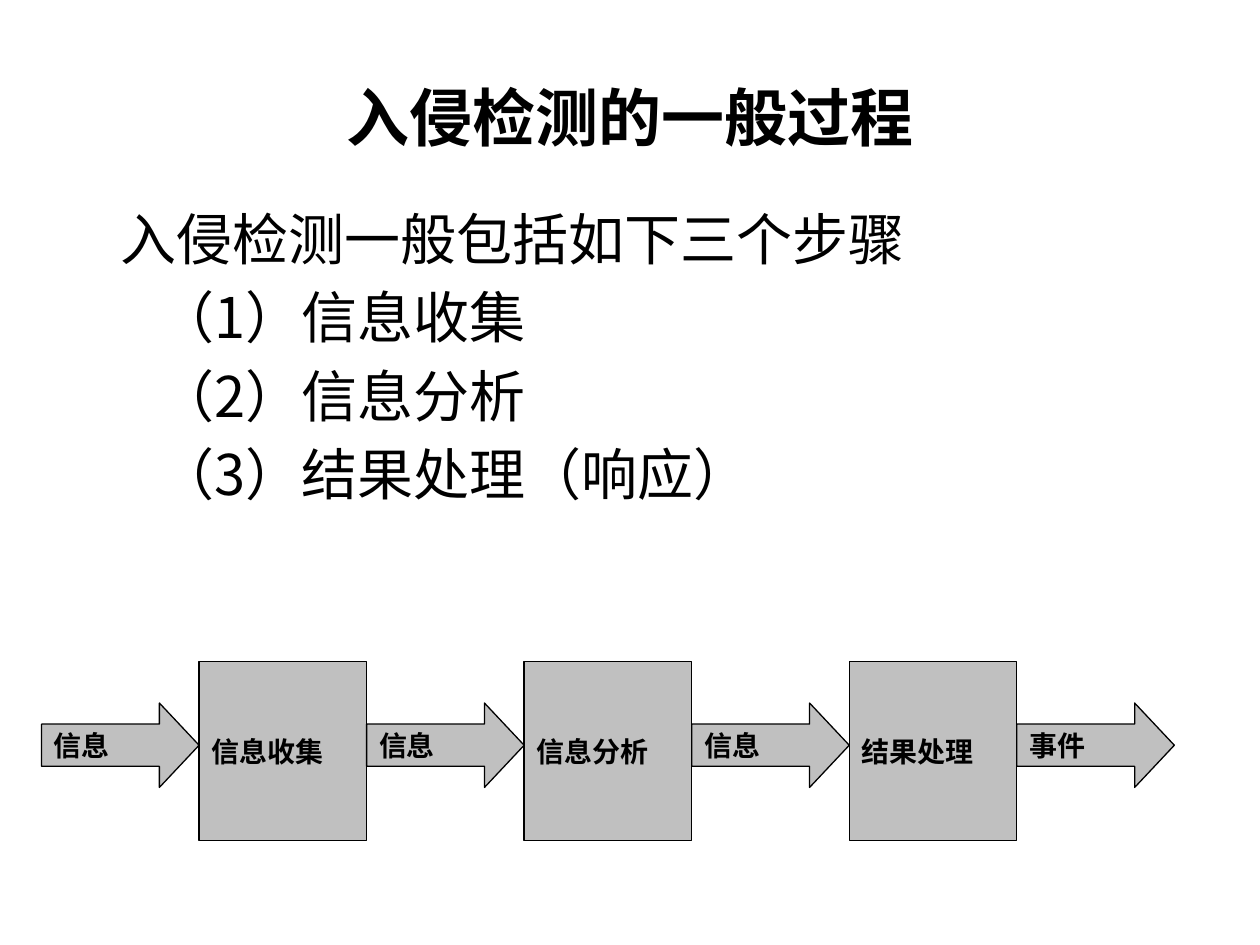
from lxml import etree
from pptx import Presentation
from pptx.dml.color import RGBColor
from pptx.enum.shapes import MSO_SHAPE
from pptx.enum.text import MSO_ANCHOR, PP_ALIGN
from pptx.oxml.ns import qn
from pptx.util import Inches, Pt

RECTANGLE, ARROW = MSO_SHAPE.RECTANGLE, MSO_SHAPE.RIGHT_ARROW
MIDDLE = MSO_ANCHOR.MIDDLE
LEFT, CENTER, JUSTIFY = PP_ALIGN.LEFT, PP_ALIGN.CENTER, PP_ALIGN.JUSTIFY

TITLE = "入侵检测的一般过程"
INTRO = "入侵检测一般包括如下三个步骤"
STEPS = ["（1）信息收集", "（2）信息分析", "（3）结果处理（响应）"]
FLOW = [
    ("信息", ARROW), ("信息收集", RECTANGLE),
    ("信息", ARROW), ("信息分析", RECTANGLE),
    ("信息", ARROW), ("结果处理", RECTANGLE),
    ("事件", ARROW),
]

COLORS = {"text": "000000", "fill": "C0C0C0", "line": "000000"}
TEXT_FONT, FLOW_FONT = "Noto Sans CJK SC", "Roboto"
SIZES = {ARROW: (1.25, 0.67), RECTANGLE: (1.33, 1.42)}
TOPS = {ARROW: 5.58, RECTANGLE: 5.25}
FLOW_LEFT = 0.33
STEP_INDENT = 0.3


def color(name):
    return RGBColor.from_string(COLORS[name])


def format_paragraph(paragraph, font_name, size, bold, alignment):
    paragraph.alignment = alignment
    for run in paragraph.runs:
        run.font.name = font_name
        run.font.size = Pt(size)
        run.font.bold = bold
        run.font.color.rgb = color("text")
        east_asian = etree.SubElement(run.font._element, qn("a:ea"))
        east_asian.set("typeface", TEXT_FONT)


def add_title(slide):
    title = slide.shapes.title
    title.left, title.top, title.width, title.height = map(Inches, (0.5, 0.3, 9, 1.25))
    title.text_frame.text = TITLE
    title.text_frame.vertical_anchor = MIDDLE
    format_paragraph(title.text_frame.paragraphs[0], TEXT_FONT, 36, True, CENTER)


def add_steps(slide):
    box = slide.shapes.add_textbox(*map(Inches, (0.86, 1.58, 7.5, 2.54)))
    frame = box.text_frame
    frame.word_wrap = True
    frame.text = "\n".join([INTRO] + STEPS)
    for index, paragraph in enumerate(frame.paragraphs):
        format_paragraph(paragraph, TEXT_FONT, 32, False, JUSTIFY)
        paragraph.line_spacing = Pt(38.2)
        if index:
            paragraph.space_before = Pt(6.4)
            paragraph._p.get_or_add_pPr().set("marL", str(Inches(STEP_INDENT)))


def add_flow(slide):
    left = Inches(FLOW_LEFT)
    for label, kind in FLOW:
        width, height = map(Inches, SIZES[kind])
        shape = slide.shapes.add_shape(kind, left, Inches(TOPS[kind]), width, height)
        if kind == ARROW:
            shape.adjustments[1] = 0.47
        shape.shadow.inherit = False
        shape.fill.solid()
        shape.fill.fore_color.rgb = color("fill")
        shape.line.color.rgb = color("line")
        shape.line.width = Pt(0.75)
        frame = shape.text_frame
        frame.text = label
        frame.word_wrap = True
        frame.vertical_anchor = MIDDLE
        format_paragraph(frame.paragraphs[0], FLOW_FONT, 16, True, LEFT)
        left += width


def main():
    presentation = Presentation()
    presentation.slide_width, presentation.slide_height = Inches(10), Inches(7.5)
    slide = presentation.slides.add_slide(presentation.slide_layouts[5])
    add_title(slide)
    add_steps(slide)
    add_flow(slide)
    presentation.save("out.pptx")


if __name__ == "__main__":
    main()
